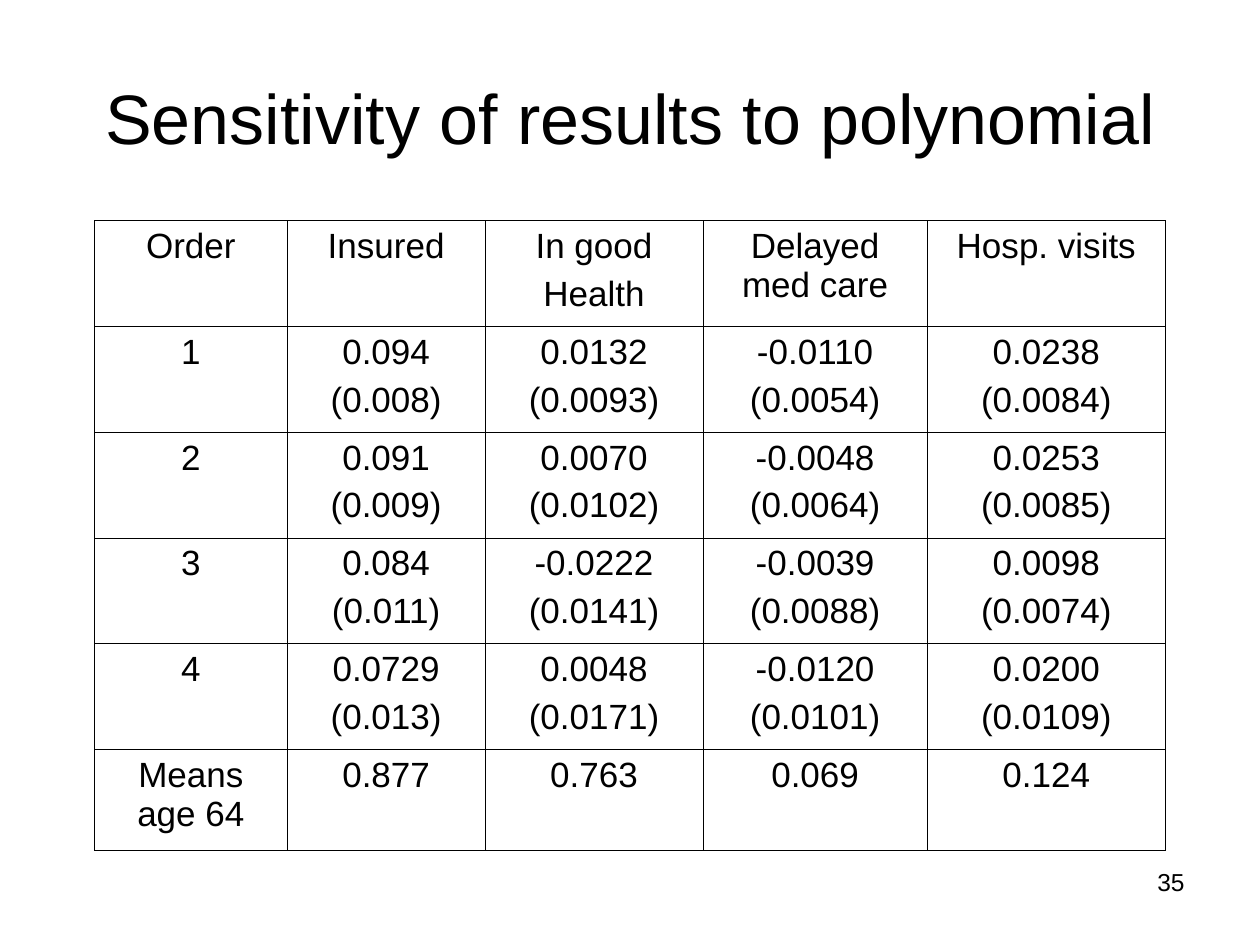
"""Build a slide tabulating regression results by polynomial order."""
from lxml.etree import SubElement
from pptx import Presentation
from pptx.dml.color import RGBColor
from pptx.enum.text import MSO_ANCHOR as Anchor, PP_ALIGN as Align
from pptx.oxml.ns import qn
from pptx.util import Inches, Pt

TITLE = "Sensitivity of results to polynomial"
PAGE_NUMBER = "35"
HEADER = [["Order"], ["Insured"], ["In good", "Health"],
          ["Delayed", "med care"], ["Hosp. visits"]]
ESTIMATES = [
    ("1", "0.094 (0.008)", "0.0132 (0.0093)", "-0.0110 (0.0054)", "0.0238 (0.0084)"),
    ("2", "0.091 (0.009)", "0.0070 (0.0102)", "-0.0048 (0.0064)", "0.0253 (0.0085)"),
    ("3", "0.084 (0.011)", "-0.0222 (0.0141)", "-0.0039 (0.0088)", "0.0098 (0.0074)"),
    ("4", "0.0729 (0.013)", "0.0048 (0.0171)", "-0.0120 (0.0101)", "0.0200 (0.0109)"),
]
MEANS = [["Means age 64"], ["0.877"], ["0.763"], ["0.069"], ["0.124"]]
TIGHT_HEADING = ["Delayed", "med care"]

THEME = {"font": "Arial", "ink": "000000", "title": 40, "table": 20,
         "number": 14, "gap": 5, "border": 0.45}
SLIDE_SIZE = (10, 7.5)
TITLE_BOX = (0.5, 0.3, 9, 1.25)
NUMBER_BOX = (7.17, 6.83, 2.33, 0.52)
TABLE_BOX = (0.75, 1.75, 8.5, 5)
COLUMN_WIDTHS = [1.53, 1.57, 1.73, 1.78, 1.89]
ROW_HEIGHTS = [0.84] * 5 + [0.8]


def write(frame, lines, size, align, gap=0):
    for index, line in enumerate(lines):
        paragraph = frame.paragraphs[0] if index == 0 else frame.add_paragraph()
        run = paragraph.add_run()
        run.text = line
        paragraph.alignment = align
        paragraph.space_before = Pt(gap if index else 0)
        font_format = {"name": THEME["font"], "size": Pt(size)}
        for key, value in font_format.items():
            setattr(run.font, key, value)
        run.font.color.rgb = RGBColor.from_string(THEME["ink"])


def draw_borders(cell):
    properties = cell._tc.get_or_add_tcPr()
    for side in ("a:lnL", "a:lnR", "a:lnT", "a:lnB"):
        border = SubElement(properties, qn(side), w=str(int(Pt(THEME["border"]))))
        fill = SubElement(border, qn("a:solidFill"))
        SubElement(fill, qn("a:srgbClr"), val=THEME["ink"])


def add_title(slide):
    title = slide.shapes.title
    for key, value in zip(("left", "top", "width", "height"), TITLE_BOX):
        setattr(title, key, Inches(value))
    title.text_frame.vertical_anchor = Anchor.MIDDLE
    write(title.text_frame, [TITLE], THEME["title"], Align.CENTER)


def add_results(slide):
    estimates = [[entry.split() for entry in row] for row in ESTIMATES]
    rows = [HEADER, *estimates, MEANS]
    table = slide.shapes.add_table(len(rows), len(HEADER), *map(Inches, TABLE_BOX)).table
    table.first_row = table.horz_banding = False
    for column, width in zip(table.columns, COLUMN_WIDTHS):
        column.width = Inches(width)
    for row, height, entries in zip(table.rows, ROW_HEIGHTS, rows):
        row.height = Inches(height)
        for cell, lines in zip(row.cells, entries):
            gap = 0 if lines == TIGHT_HEADING else THEME["gap"]
            write(cell.text_frame, lines, THEME["table"], Align.CENTER, gap)
            draw_borders(cell)
            cell.fill.background()


def add_page_number(slide):
    frame = slide.shapes.add_textbox(*map(Inches, NUMBER_BOX)).text_frame
    frame.word_wrap = True
    write(frame, [PAGE_NUMBER], THEME["number"], Align.RIGHT)


def main():
    deck = Presentation()
    deck.slide_width, deck.slide_height = map(Inches, SLIDE_SIZE)
    slide = deck.slides.add_slide(deck.slide_layouts[5])
    add_page_number(slide)
    add_title(slide)
    add_results(slide)
    deck.save("out.pptx")


if __name__ == "__main__":
    main()
